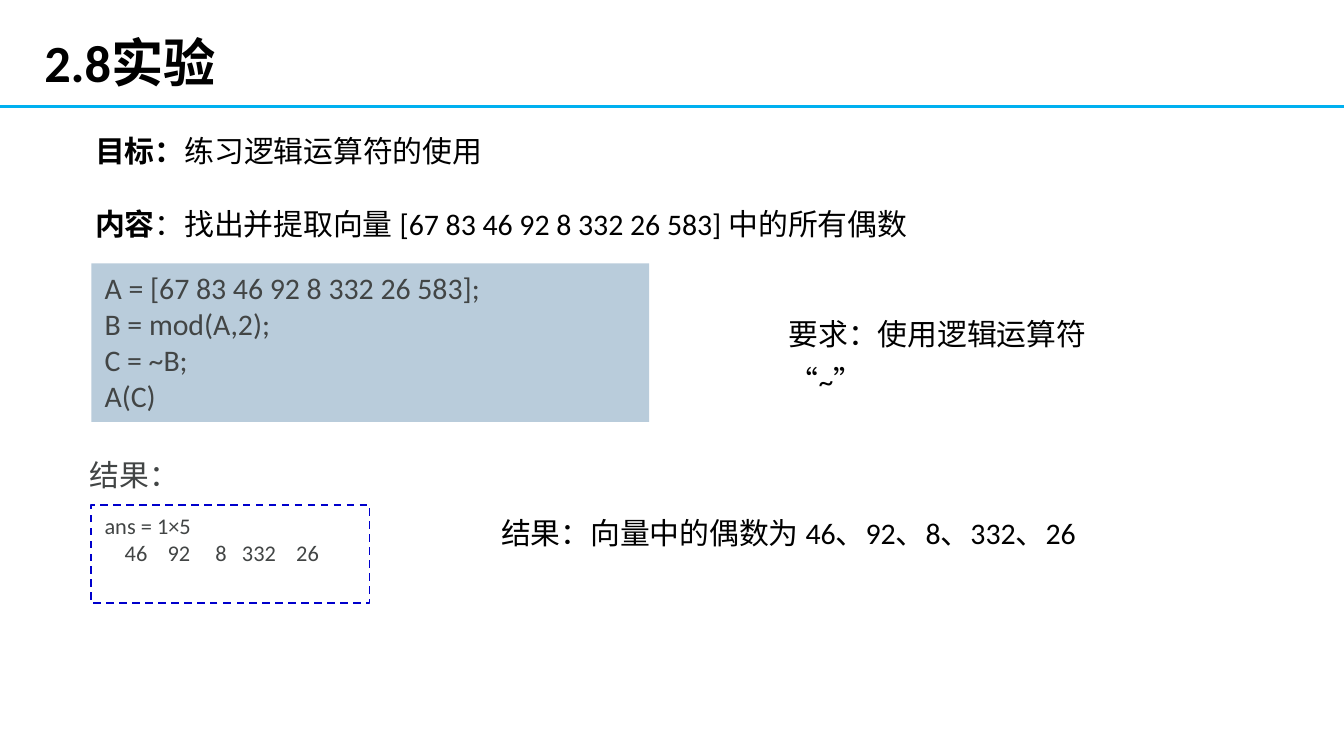
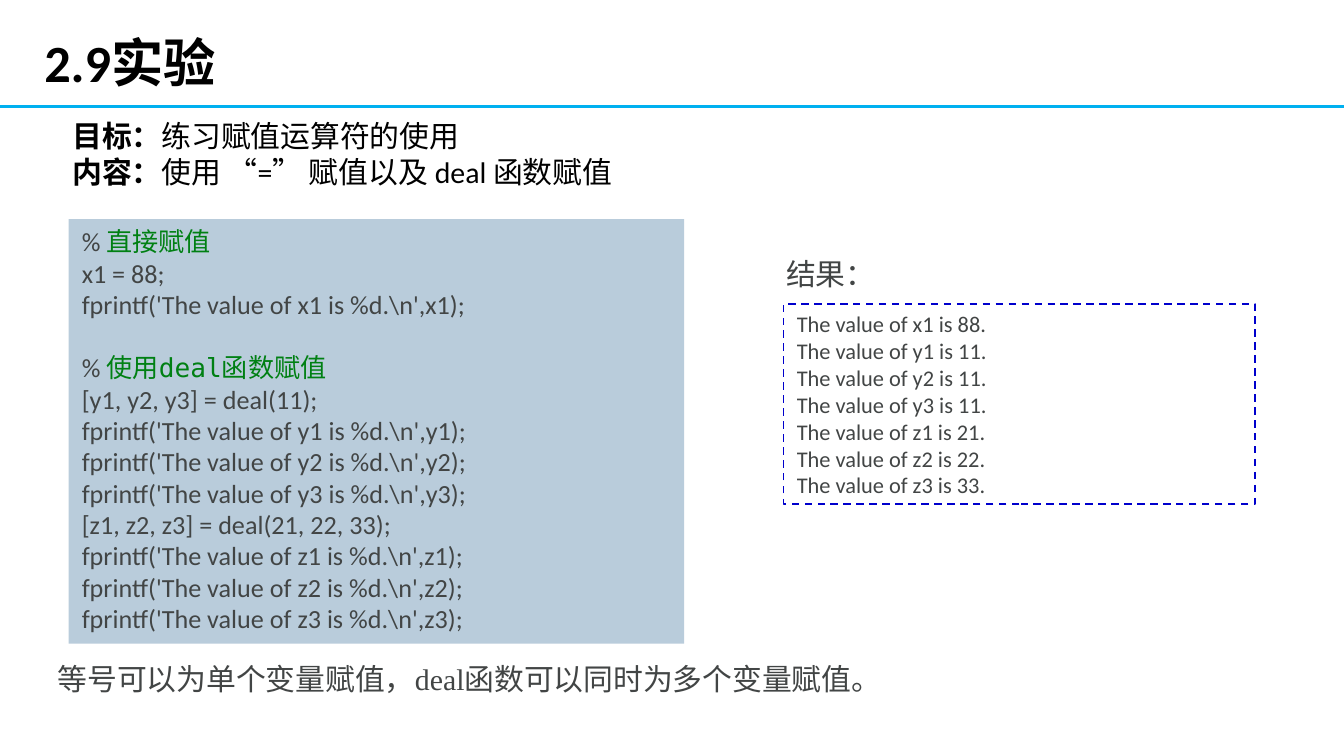
from pptx import Presentation
from pptx.dml.color import RGBColor as RGB
from pptx.enum.dml import MSO_LINE as Dash
from pptx.enum.shapes import MSO_CONNECTOR as Conn, MSO_SHAPE as Shape
from pptx.enum.text import MSO_ANCHOR as Anchor, PP_ALIGN as Align
from pptx.oxml.ns import qn
from pptx.util import Inches, Pt
from lxml import etree

BLACK = RGB(0x00, 0x00, 0x00)
GRAY = RGB(0x42, 0x45, 0x45)
GREEN = RGB(0x00, 0x80, 0x13)
SKY = RGB(0x00, 0xB0, 0xF0)
PANEL = RGB(0xB9, 0xCC, 0xDB)
BLUE = RGB(0x00, 0x00, 0xCC)

TITLE = dict(name="Calibri", size=28, bold=True, color=BLACK)
BODY = dict(name="Calibri", size=16, color=BLACK)
LABEL = dict(name="Times New Roman", size=16, color=GRAY)
CODE = dict(name="Calibri", size=16, color=GRAY)
SMALL_CODE = dict(CODE, size=14)
OUTPUT = dict(CODE, size=12)
BOLD = dict(bold=True)
COMMENT = dict(name="DejaVu Sans Mono", color=GREEN)

LOOSE = dict(line_spacing=Pt(25), space_after=Pt(12))
AFTER = dict(space_after=Pt(12))
BREAK = ("\n", {})


def printed(var):
    return f"fprintf('The value of {var} is %d.\\n',{var});"


VALUES = [("x1", 88), ("y1", 11), ("y2", 11), ("y3", 11),
          ("z1", 21), ("z2", 22), ("z3", 33)]

SLIDES = [
    dict(
        title="2.8实验",
        code=((0.68, 1.96, 4.15, 1.18), CODE, 0, [
            "A = [67 83 46 92 8 332 26 583];",
            "B = mod(A,2);",
            "C = ~B;",
            "A(C)",
        ]),
        output=((0.68, 3.76, 2.07, 0.73), [
            "ans = 1×5",
            "    46    92     8   332    26",
        ]),
        texts=[
            ((5.77, 2.22, 2.82, 0.42), BODY, LOOSE, 0,
             ["要求：使用逻辑运算符 “~”"]),
            ((0.57, 3.27, 4.25, 0.42), LABEL, LOOSE, 0, ["结果："]),
            ((3.63, 3.7, 5.6, 0.43), BODY, LOOSE, 0,
             ["结果：向量中的偶数为 46、92、8、332、26"]),
            ((0.61, 0.94, 8.44, 0.32), BODY, {}, 19.5, [
                [("目标：", BOLD), ("练习逻辑运算符的使用", {})],
                [("内容", BOLD),
                 ("：找出并提取向量 [67 83 46 92 8 332 26 583] 中的所有偶数", {})],
            ]),
        ],
    ),
    dict(
        title="2.9实验",
        code=((0.51, 1.63, 4.58, 3.16), SMALL_CODE, 17, [
            [("% ", {}), ("直接赋值", COMMENT)],
            "x1 = 88;",
            printed("x1"),
            [("% ", {}), ("使用deal函数赋值", COMMENT)],
            "[y1, y2, y3] = deal(11);",
            *map(printed, ("y1", "y2", "y3")),
            "[z1, z2, z3] = deal(21, 22, 33);",
            *map(printed, ("z1", "z2", "z3")),
        ]),
        output=((5.83, 2.26, 3.51, 1.49),
                [f"The value of {var} is {value}." for var, value in VALUES]),
        texts=[
            ((5.75, 1.77, 3.92, 0.42), LABEL, LOOSE, 0, ["结果："]),
            ((0.33, 4.87, 9.23, 0.37), LABEL, AFTER, 0,
             ["等号可以为单个变量赋值，deal函数可以同时为多个变量赋值。"]),
            ((0.44, 0.83, 8.44, 0.47), BODY, {}, 0, [
                [("目标：", BOLD), ("练习赋值运算符的使用", {}), BREAK,
                 ("内容：", BOLD), ("使用 “=” 赋值以及 deal 函数赋值", {})],
            ]),
        ],
    ),
]


def write(tf, paras, style, layout, gap=0):
    tf.word_wrap = True
    tf.vertical_anchor = Anchor.TOP
    for i, runs in enumerate(paras):
        p = tf.add_paragraph() if i else tf.paragraphs[0]
        p.alignment = Align.LEFT
        for key, value in layout.items():
            setattr(p, key, value)
        if isinstance(runs, str):
            runs = [(runs, {})]
        elif i and gap:
            p.space_before = Pt(gap)
        for text, extra in runs:
            if text == "\n":
                p.add_line_break()
                continue
            r = p.add_run()
            r.text = text
            for key, value in {**style, **extra}.items():
                if key == "color":
                    r.font.color.rgb = value
                else:
                    setattr(r.font, key, Pt(value) if key == "size" else value)


def add_text(s, at, style, layout, gap, paras):
    tf = s.shapes.add_textbox(*map(Inches, at)).text_frame
    write(tf, paras, style, layout, gap)
    return tf


def add_panel(s, at, style, gap, paras, fill=None):
    sp = s.shapes.add_shape(Shape.RECTANGLE, *map(Inches, at))
    sp.shadow.inherit = False
    if fill is None:
        sp.fill.background()
        sp.line.color.rgb = BLUE
        sp.line.width = Pt(1)
        sp.line.dash_style = Dash.DASH
    else:
        sp.fill.solid()
        sp.fill.fore_color.rgb = fill
        sp.line.fill.background()
    write(sp.text_frame, paras, style, {}, gap)


def add_header(s, title):
    rule = s.shapes.add_connector(Conn.STRAIGHT, 0, Inches(0.79),
                                  Inches(10), Inches(0.79))
    rule.line.color.rgb = SKY
    rule.line.width = Pt(1.5)
    etree.SubElement(rule._element.spPr, qn("a:effectLst"))
    tf = add_text(s, (0.33, 0.27, 8.25, 0.44), TITLE,
                  dict(line_spacing=0.9), 0, [title])
    tf.vertical_anchor = Anchor.MIDDLE
    for side in ("left", "top", "right", "bottom"):
        setattr(tf, f"margin_{side}", 0)


def main():
    prs = Presentation()
    prs.slide_width = Inches(10)
    prs.slide_height = prs.slide_width * 9 // 16
    for slide in SLIDES:
        s = prs.slides.add_slide(prs.slide_layouts[6])
        add_header(s, slide["title"])
        add_panel(s, *slide["code"], fill=PANEL)
        at, lines = slide["output"]
        add_panel(s, at, OUTPUT, 0, lines)
        for text in slide["texts"]:
            add_text(s, *text)
    prs.save("out.pptx")


if __name__ == "__main__":
    main()
